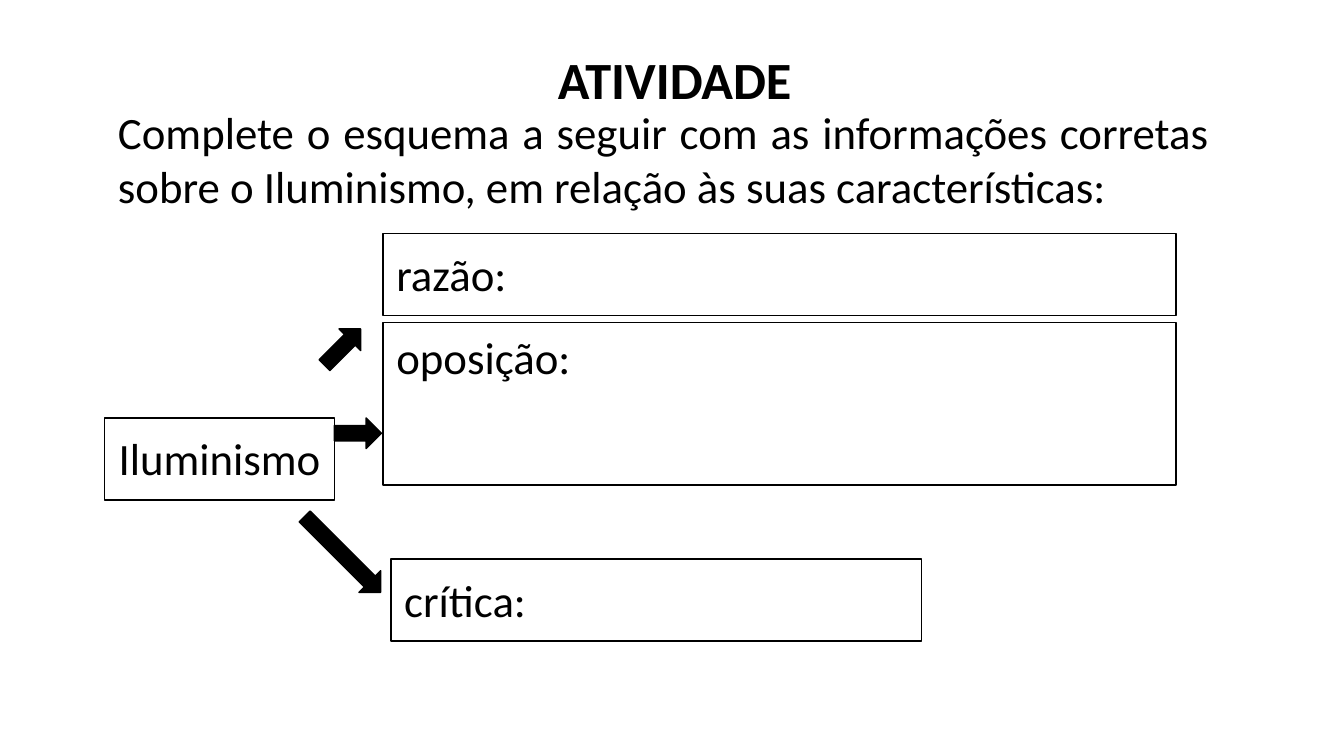
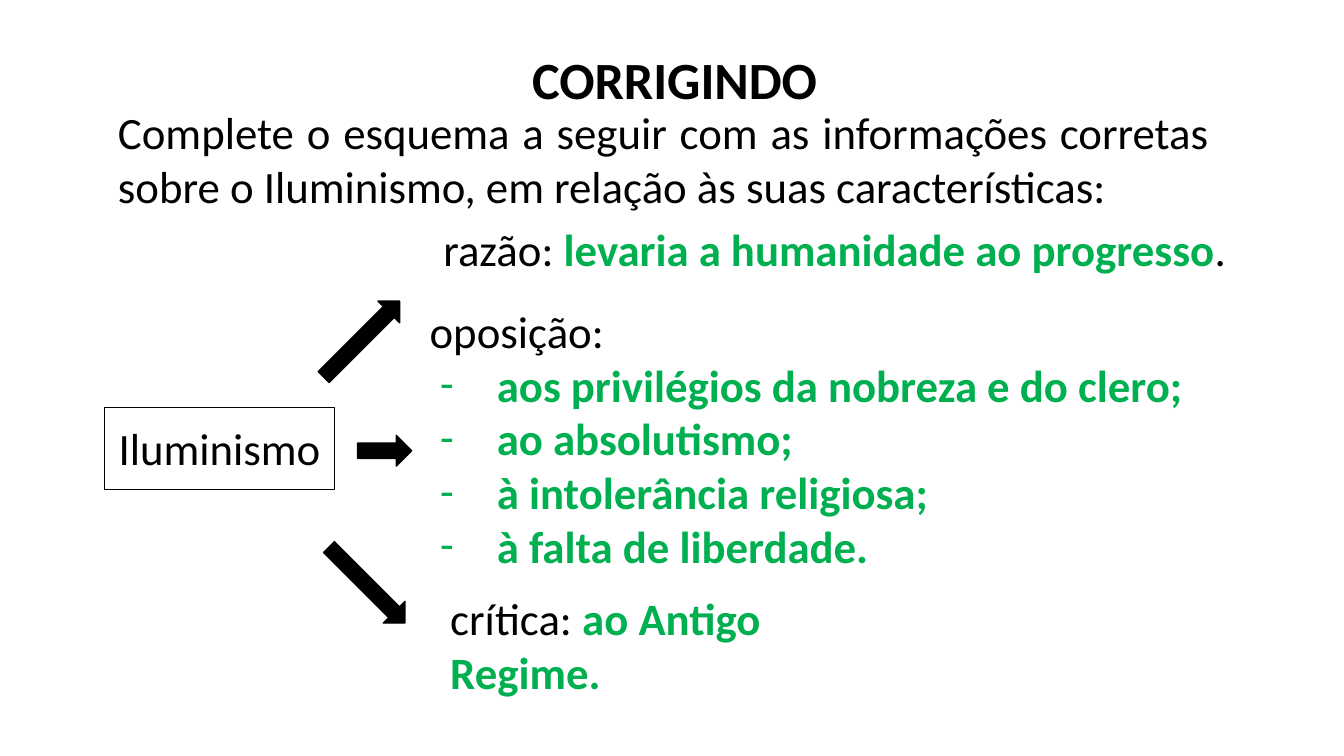
from lxml.etree import SubElement
from pptx import Presentation
from pptx.dml.color import RGBColor
from pptx.enum.shapes import MSO_SHAPE
from pptx.enum.text import MSO_ANCHOR, MSO_AUTO_SIZE, PP_ALIGN
from pptx.oxml.ns import qn
from pptx.util import Cm, Pt

BLACK, GREEN = "000000", "00B050"
FONT = "Calibri"
BODY_SIZE, TITLE_SIZE = 24, 28
INSET, TIGHT_INSET = 0.25, 0.13
LINE_HEIGHT = 1.55
ARROW_HEIGHT = 0.58
LEFT_EDGE = 1.98
PROMPT = ("Complete o esquema a seguir com as informações corretas "
          "sobre o Iluminismo, em relação às suas características:")
OPPOSED = ["aos privilégios da nobreza e do clero;", "ao absolutismo;",
           "à intolerância religiosa;", "à falta de liberdade."]


def color(hex_string):
    return RGBColor.from_string(hex_string)


class Worksheet:
    """Holds the shared style and the slide being drawn."""

    def __init__(self):
        self.presentation = Presentation()
        self.presentation.slide_width = Cm(25.4)
        self.presentation.slide_height = Cm(14.29)
        self.slide = None

    def start_slide(self, title):
        """Add a slide with its title and the shared exercise prompt."""
        self.slide = self.presentation.slides.add_slide(self.presentation.slide_layouts[6])
        frame = self.text_box(4.75, 0.76, 16, 1.19, TIGHT_INSET, grow=False)
        self.fill_paragraph(frame.paragraphs[0], title, PP_ALIGN.CENTER, TITLE_SIZE, bold=True)
        prompt = self.text_box(LEFT_EDGE, 1.73, 21.11, 2.57)
        self.fill_paragraph(prompt.paragraphs[0], PROMPT, PP_ALIGN.JUSTIFY)

    def set_frame(self, shape, inset, grow):
        frame = shape.text_frame
        frame.word_wrap = True
        frame.vertical_anchor = MSO_ANCHOR.TOP
        frame.auto_size = MSO_AUTO_SIZE.SHAPE_TO_FIT_TEXT if grow else MSO_AUTO_SIZE.NONE
        frame.margin_top = frame.margin_bottom = Cm(inset)
        frame.margin_left = frame.margin_right = Cm(INSET)
        return frame

    def text_box(self, left, top, width, height, inset=INSET, grow=True):
        shape = self.slide.shapes.add_textbox(Cm(left), Cm(top), Cm(width), Cm(height))
        return self.set_frame(shape, inset, grow)

    def outlined_shape(self, kind, left, top, width, height):
        shape = self.slide.shapes.add_shape(kind, Cm(left), Cm(top), Cm(width), Cm(height))
        shape.shadow.inherit = False
        shape.line.color.rgb = color(BLACK)
        shape.line.width = Pt(0.75)
        return shape

    def label_box(self, text, left, top, width, height=LINE_HEIGHT,
                  align=PP_ALIGN.LEFT, inset=INSET, grow=True):
        shape = self.outlined_shape(MSO_SHAPE.RECTANGLE, left, top, width, height)
        shape.fill.background()
        frame = self.set_frame(shape, inset, grow)
        self.fill_paragraph(frame.paragraphs[0], text, align)

    def topic(self, top):
        self.label_box("Iluminismo", LEFT_EDGE, top, 4.34, align=PP_ALIGN.CENTER)

    def arrow(self, left, top, width, rotation=0):
        shape = self.outlined_shape(MSO_SHAPE.RIGHT_ARROW, left, top, width, ARROW_HEIGHT)
        shape.fill.solid()
        shape.fill.fore_color.rgb = color(BLACK)
        shape.rotation = rotation

    def fill_paragraph(self, paragraph, text, align=PP_ALIGN.LEFT,
                       size=BODY_SIZE, ink=BLACK, bold=False):
        paragraph.add_run().text = text
        paragraph.alignment = align
        font = paragraph.font
        font.name, font.size, font.bold = FONT, Pt(size), bold
        font.color.rgb = color(ink)

    def answer_line(self, frame, label, answer, ending=""):
        """Set a label followed by its answer in bold green."""
        paragraph = frame.paragraphs[0]
        self.fill_paragraph(paragraph, label)
        run = paragraph.add_run()
        run.text = answer
        run.font.bold = True
        run.font.color.rgb = color(GREEN)
        if ending:
            paragraph.add_run().text = ending

    def answer_bullet(self, frame, text):
        paragraph = frame.add_paragraph()
        properties = paragraph._p.get_or_add_pPr()
        properties.set("marL", str(Cm(1.27)))
        properties.set("indent", str(Cm(-1.07)))
        bullet_color = SubElement(properties, qn("a:buClr"))
        SubElement(bullet_color, qn("a:srgbClr"), val=GREEN)
        SubElement(properties, qn("a:buFont"), typeface=FONT)
        SubElement(properties, qn("a:buChar"), char="-")
        self.fill_paragraph(paragraph, text, PP_ALIGN.JUSTIFY, ink=GREEN, bold=True)


def draw_activity(sheet):
    sheet.start_slide("ATIVIDADE")
    sheet.label_box("oposição:", 7.24, 6.1, 14.99, 3.07,
                    PP_ALIGN.JUSTIFY, TIGHT_INSET, grow=False)
    sheet.topic(7.9)
    sheet.label_box("razão:", 7.24, 4.42, 14.99)
    sheet.label_box("crítica:", 7.39, 10.57, 10.03)
    sheet.arrow(5.99, 6.27, 0.97, 315)
    sheet.arrow(5.46, 10.19, 2.03, 45)
    sheet.arrow(6.32, 7.9, 0.89)


def draw_correction(sheet):
    sheet.start_slide("CORRIGINDO")
    sheet.topic(7.7)
    sheet.arrow(5.82, 6.12, 2.03, 315)
    sheet.arrow(6.76, 8.23, 1.02)
    sheet.arrow(5.92, 10.77, 2.03, 45)
    sheet.answer_line(sheet.text_box(8.13, 3.94, 19.99, LINE_HEIGHT),
                      "razão: ", "levaria a humanidade ao progresso", ".")
    opposition = sheet.text_box(7.87, 5.49, 15.37, 5.64)
    sheet.fill_paragraph(opposition.paragraphs[0], "oposição:", PP_ALIGN.JUSTIFY)
    for item in OPPOSED:
        sheet.answer_bullet(opposition, item)
    sheet.answer_line(sheet.text_box(8.26, 10.92, 9.19, 2.57),
                      "crítica: ", "ao Antigo Regime.")


def main():
    sheet = Worksheet()
    draw_activity(sheet)
    draw_correction(sheet)
    sheet.presentation.save("out.pptx")


if __name__ == "__main__":
    main()
